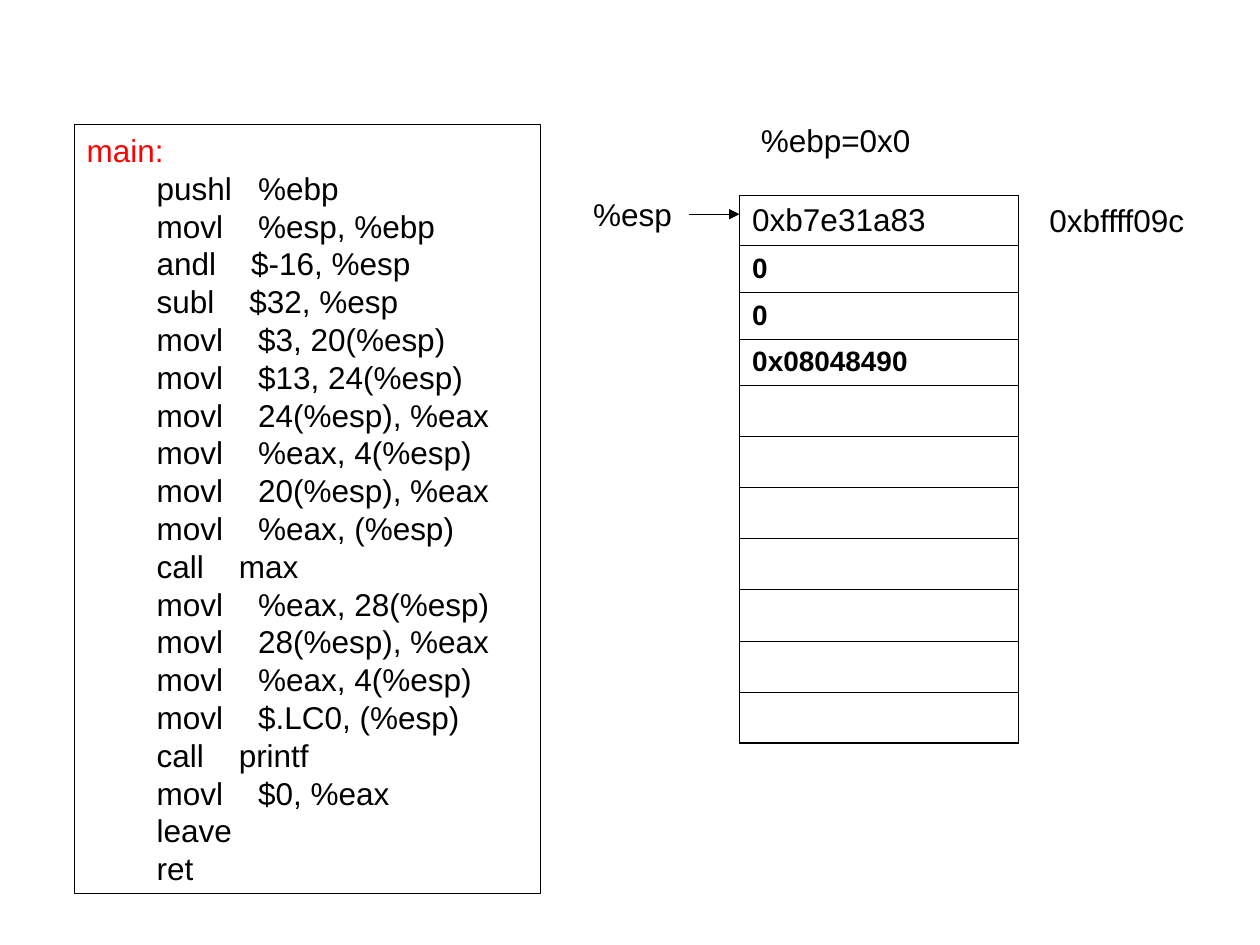
import pptx
import pptx.util
import pptx.dml.color
import pptx.enum.shapes
import pptx.enum.text
import pptx.oxml.ns
from lxml import etree

Inches, Pt = pptx.util.Inches, pptx.util.Pt
qn = pptx.oxml.ns.qn

# Content
CODE = """main:
        pushl   %ebp
        movl    %esp, %ebp
        andl    $-16, %esp
        subl    $32, %esp
        movl    $3, 20(%esp)
        movl    $13, 24(%esp)
        movl    24(%esp), %eax
        movl    %eax, 4(%esp)
        movl    20(%esp), %eax
        movl    %eax, (%esp)
        call    max
        movl    %eax, 28(%esp)
        movl    28(%esp), %eax
        movl    %eax, 4(%esp)
        movl    $.LC0, (%esp)
        call    printf
        movl    $0, %eax
        leave
        ret""".split("\n")
# Stack words: text, size, bold, row height
STACK = [("0xb7e31a83", 18, False, 0.4)]
STACK += [(word, 16, True, 0.37) for word in ("0", "0", "0x08048490")]
STACK += [("", 18, False, 0.4)] * 7
# Labels: text, left, top, width
LABELS = [
    ("%esp", 4.61, 1.5, 0.95),
    ("%ebp=0x0", 5.94, 0.91, 2.37),
    ("0xbffff09c", 8.23, 1.55, 1.42),
]
LEFT, TOP, WIDTH = 5.87, 1.55, 2.21
BLACK, RED = "000000", "FF0000"


def color(code):
    return pptx.dml.color.RGBColor.from_string(code)


def write(para, text, size=18, bold=False, tint=BLACK):
    run = para.add_run()
    run.text = text
    font = run.font
    font.name, font.size, font.bold = "Arial", Pt(size), bold
    font.color.rgb = color(tint)


def border(cell, last):
    props = cell._tc.get_or_add_tcPr()
    for spot, side in enumerate(("lnL", "lnR", "lnT", "lnB")):
        thick = 1.08 if last and side == "lnB" else 0.45
        line = etree.Element(qn("a:" + side), w=str(int(Pt(thick))))
        fill = etree.SubElement(line, qn("a:solidFill"))
        etree.SubElement(fill, qn("a:srgbClr"), val=BLACK)
        props.insert(spot, line)


prs = pptx.Presentation()
prs.slide_width, prs.slide_height = Inches(10), Inches(7.5)
slide = prs.slides.add_slide(prs.slide_layouts[6])
shapes = slide.shapes

# Assembly listing
box = shapes.add_shape(pptx.enum.shapes.MSO_SHAPE.RECTANGLE,
                       Inches(0.59), Inches(0.99), Inches(3.7), Inches(6.1))
box.shadow.inherit = False
box.fill.background()
box.line.color.rgb = color(BLACK)
box.line.width = Pt(0.75)
frame = box.text_frame
frame.word_wrap = True
frame.vertical_anchor = pptx.enum.text.MSO_ANCHOR.TOP
for i, text in enumerate(CODE):
    para = frame.add_paragraph() if i else frame.paragraphs[0]
    para.alignment = pptx.enum.text.PP_ALIGN.LEFT
    para.line_spacing = Pt(21.6)
    write(para, text, tint=BLACK if i else RED)

# Stack table
total = sum(row[3] for row in STACK)
table = shapes.add_table(len(STACK), 1, Inches(LEFT), Inches(TOP),
                         Inches(WIDTH), Inches(total)).table
table.first_row = table.horz_banding = False
for i, (text, size, bold, high) in enumerate(STACK):
    table.rows[i].height = Inches(high)
    cell = table.cell(i, 0)
    cell.fill.background()
    cell.vertical_anchor = pptx.enum.text.MSO_ANCHOR.MIDDLE
    border(cell, i == len(STACK) - 1)
    if text:
        write(cell.text_frame.paragraphs[0], text, size, bold)

# Register and address labels
for text, left, top, width in LABELS:
    label = shapes.add_textbox(Inches(left), Inches(top), Inches(width), Inches(0.4))
    label.text_frame.word_wrap = True
    write(label.text_frame.paragraphs[0], text)

# Arrow from %esp to the top of the stack
arrow = shapes.add_connector(pptx.enum.shapes.MSO_CONNECTOR.STRAIGHT,
                             Inches(5.47), Inches(1.7), Inches(LEFT), Inches(1.7))
arrow.line.color.rgb = color(BLACK)
arrow.line.width = Pt(0.75)
etree.SubElement(arrow.line._get_or_add_ln(), qn("a:tailEnd"), type="triangle")
etree.SubElement(arrow._element.spPr, qn("a:effectLst"))

prs.save("out.pptx")
